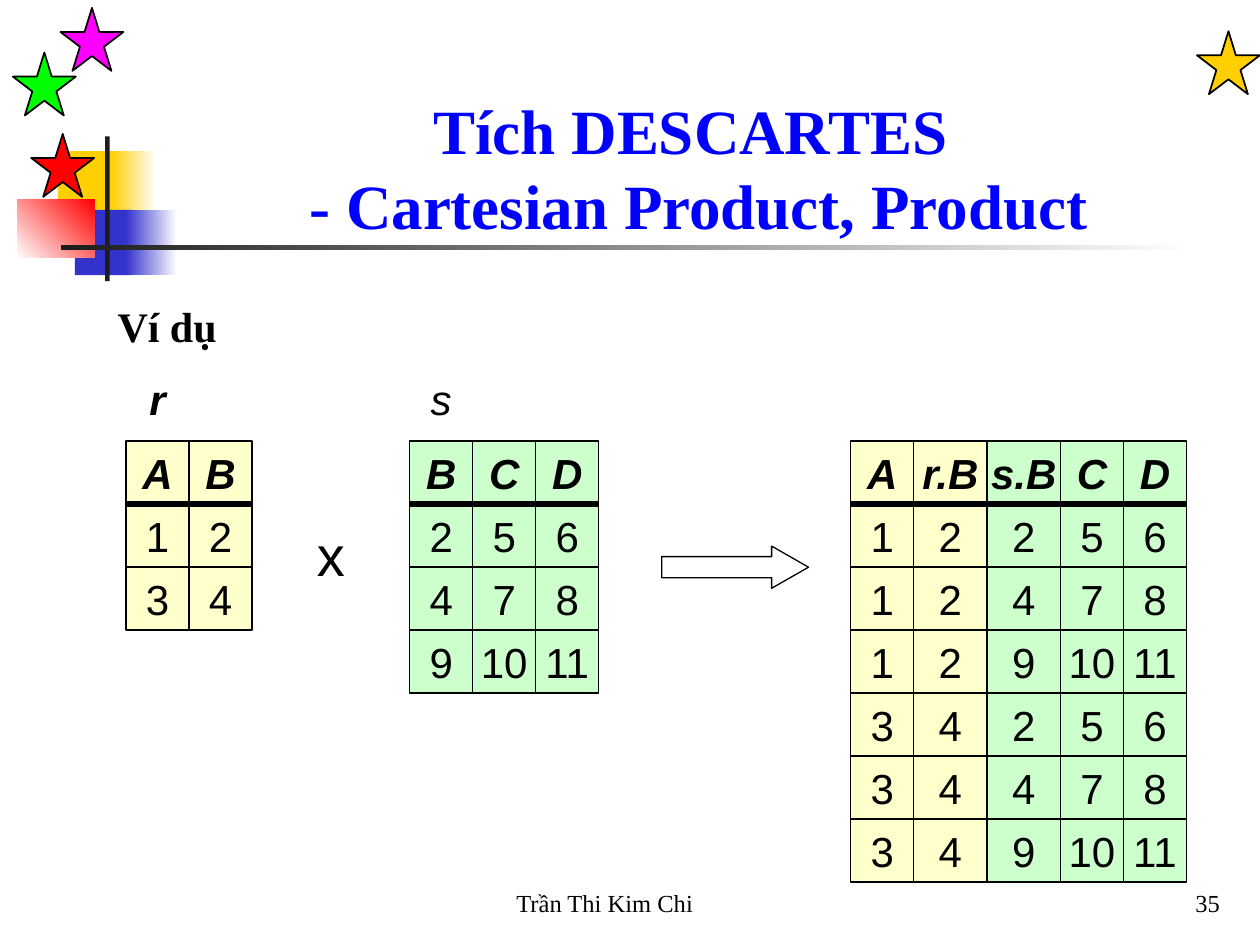
"""Build the Cartesian product example slide with its two relations and their result."""
from lxml.etree import SubElement
from pptx import Presentation
from pptx.dml.color import RGBColor
from pptx.enum.shapes import MSO_CONNECTOR as Connector, MSO_SHAPE as Shape
from pptx.enum.text import MSO_ANCHOR as Anchor, PP_ALIGN as Align
from pptx.oxml.ns import qn
from pptx.util import Cm, Pt

rgb = RGBColor.from_string


def add_figure(kind, left, top, width, height, colors, line=None, angle=0):
    figure = slide.shapes.add_shape(kind, Cm(left), Cm(top), Cm(width), Cm(height))
    figure.shadow.inherit = False
    if len(colors) == 1:
        figure.fill.solid()
        figure.fill.fore_color.rgb = rgb(colors[0])
    else:
        figure.fill.gradient()
        figure.fill.gradient_angle = angle
        for stop, color in zip(figure.fill.gradient_stops, colors):
            stop.color.rgb = rgb(color)
    if line:
        figure.line.color.rgb = rgb("000000")
        figure.line.width = Pt(line)
    else:
        figure.line.fill.background()
    return figure


def write(frame, lines, font, size, align, anchor, wrap=True, bold=False, italic=False, color="000000"):
    frame.word_wrap = wrap
    frame.vertical_anchor = anchor
    paragraph = frame.paragraphs[0]
    paragraph.alignment = align
    for index, line in enumerate(lines):
        if index:
            paragraph.add_line_break()
        run = paragraph.add_run()
        run.text = line
        run.font.name = font
        run.font.size = Pt(size)
        run.font.bold = bold
        run.font.italic = italic
        run.font.color.rgb = rgb(color)


presentation = Presentation()
presentation.slide_width = Cm(25.4)
presentation.slide_height = Cm(19.05)
slide = presentation.slides.add_slide(presentation.slide_layouts[6])

for left, top, width, height, colors, angle in [
    (1.17, 3.05, 1.22, 1.32, ["FFCF01"], 0),
    (2.24, 3.05, 0.91, 1.32, ["FFCF01", "FFFFFF"], 0),
    (1.51, 4.23, 1.17, 1.32, ["3333CC"], 0),
    (2.54, 4.23, 1.02, 1.32, ["3333CC", "FFFFFF"], 0),
    (0.35, 4.02, 1.55, 1.18, ["FFFFFF", "FF0000"], 45),
    (2.12, 2.75, 0.09, 2.92, ["1C1C1C"], 0),
    (1.23, 4.94, 22.86, 0.1, ["1C1C1C", "FFFFFF"], 0),
]:
    add_figure(Shape.RECTANGLE, left, top, width, height, colors, angle=angle)

for left, top, color in [
    (24.13, 0.63, "FFCF01"),
    (0.63, 2.7, "FF0000"),
    (0.26, 1.06, "00FF00"),
    (1.22, 0.16, "FF00FF"),
]:
    add_figure(Shape.STAR_5_POINT, left, top, 1.27, 1.27, [color], line=1)

arrow = add_figure(Shape.RIGHT_ARROW, 13.34, 11.01, 2.96, 0.85, ["FFFFFF"], line=0.75)
arrow.adjustments[0] = 0.5
arrow.adjustments[1] = 0.875

r_rows = [["1", "2"], ["3", "4"]]
s_rows = [["2", "5", "6"], ["4", "7", "8"], ["9", "10", "11"]]
side = 1.27
wide = 1.48
table_top = 8.89
yellow, green = "FFFFCC", "CCFFCC"

for left, rows, widths, color in [
    (2.54, [["A", "B"]] + r_rows, [side] * 2, yellow),
    (8.26, [["B", "C", "D"]] + s_rows, [side] * 3, green),
    (17.15, [["A", "r.B"]] + [row for row in r_rows for _ in s_rows], [side, wide], yellow),
    (17.15 + side + wide, [["s.B", "C", "D"]] + s_rows * len(r_rows), [wide, side, side], green),
]:
    for row_index, values in enumerate(rows):
        header = row_index == 0
        for column, value in enumerate(values):
            cell = add_figure(Shape.RECTANGLE, left + sum(widths[:column]), table_top + row_index * side,
                              widths[column], side, [color], line=0.75)
            write(cell.text_frame, [value], "Arial", 24, Align.CENTER, Anchor.MIDDLE, False, header, header)
    rule_y = Cm(table_top + side)
    rule = slide.shapes.add_connector(Connector.STRAIGHT, Cm(left), rule_y, Cm(left + sum(widths)), rule_y)
    rule.line.color.rgb = rgb("000000")
    rule.line.width = Pt(3)
    SubElement(rule._element.spPr, qn("a:effectLst"))

for left, name, bold in [(2.54, "r", True), (8.26, "s", False)]:
    label = add_figure(Shape.RECTANGLE, left, 7.41, side, side, ["FFFFFF"])
    write(label.text_frame, [name], "Arial", 24, Align.CENTER, Anchor.MIDDLE, False, bold, True)

serif = "Times New Roman"
for left, top, width, height, anchor, lines, font, size, align, wrap, bold, color in [
    (3.39, 1.48, 21.38, 3.53, Anchor.BOTTOM, ["Tích DESCARTES ", "- Cartesian Product, Product"],
     serif, 36, Align.CENTER, True, True, "0000FF"),
    (2.12, 4.87, 21.64, 2.33, Anchor.BOTTOM, ["Ví dụ"], serif, 24, Align.LEFT, True, True, "000000"),
    (6.14, 10.37, 1.07, 1.6, Anchor.TOP, ["x"], "Arial", 32, Align.LEFT, False, False, "000000"),
    (10.16, 17.35, 8.05, 1.27, Anchor.BOTTOM, ["Trần Thi Kim Chi"],
     serif, 14, Align.LEFT, True, False, "000000"),
    (19.56, 17.35, 5.28, 1.27, Anchor.BOTTOM, ["35"], serif, 14, Align.RIGHT, True, False, "000000"),
]:
    frame = slide.shapes.add_textbox(Cm(left), Cm(top), Cm(width), Cm(height)).text_frame
    write(frame, lines, font, size, align, anchor, wrap, bold, color=color)

presentation.save("out.pptx")
